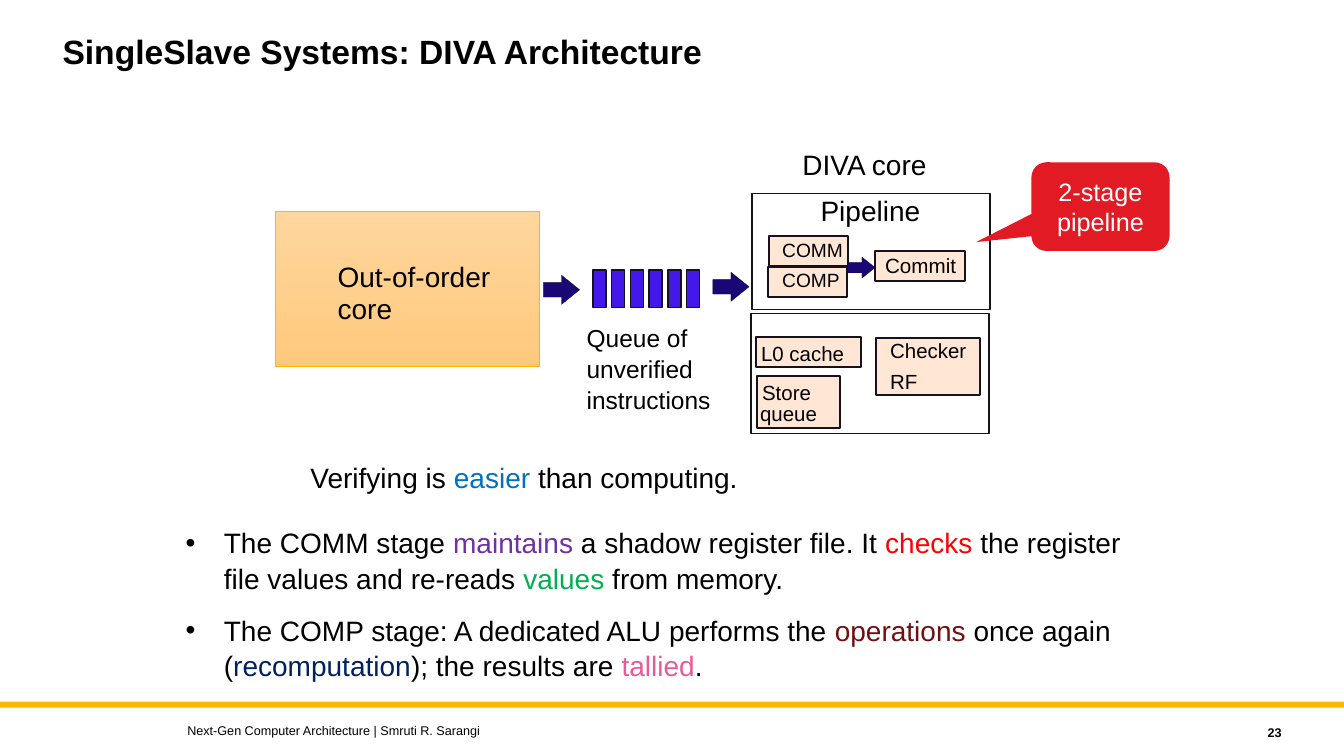
from dataclasses import dataclass

from pptx import Presentation
from pptx.dml.color import RGBColor
from pptx.enum.shapes import MSO_SHAPE
from pptx.enum.text import MSO_ANCHOR, MSO_AUTO_SIZE, PP_ALIGN
from pptx.util import Inches, Pt

RECTANGLE, RIGHT_ARROW = MSO_SHAPE.RECTANGLE, MSO_SHAPE.RIGHT_ARROW
CALLOUT = MSO_SHAPE.ROUNDED_RECTANGULAR_CALLOUT
TOP, MIDDLE = MSO_ANCHOR.TOP, MSO_ANCHOR.MIDDLE
LEFT, CENTER, RIGHT = PP_ALIGN.LEFT, PP_ALIGN.CENTER, PP_ALIGN.RIGHT
FIXED, GROW = MSO_AUTO_SIZE.NONE, MSO_AUTO_SIZE.SHAPE_TO_FIT_TEXT

BLACK, WHITE, AMBER, RED = "000000", "FFFFFF", "FFB600", "E21A23"
INK, PEACH, VIOLET, NAVY = "15111D", "FFE6D5", "4318EA", "1B0675"


@dataclass
class Block:
    left: float
    top: float
    width: float
    height: float
    fill: str = ""
    line: str = INK
    weight: float = 1.0
    kind: int = RECTANGLE


@dataclass
class Label:
    text: str
    left: float
    top: float
    width: float
    height: float
    size: float


@dataclass
class Span:
    text: str
    color: str = BLACK


def arrow(left: float, top: float, width: float, height: float) -> Block:
    return Block(left, top, width, height, NAVY, "07070A", 0.1, RIGHT_ARROW)


def stage(left: float, top: float, width: float, height: float) -> Block:
    return Block(left, top, width, height, PEACH, INK, 1.5)


SLOT_LEFT, SLOT_PITCH, SLOT_COUNT = 5.88, 0.186, 6
CORE = Block(2.73, 2.1, 2.62, 1.54, AMBER, AMBER, 0.5)
BLOCKS = [
    Block(0, 6.96, 13.33, 0.06, AMBER, ""),
    arrow(5.39, 2.73, 0.36, 0.29),
    *(Block(SLOT_LEFT + slot * SLOT_PITCH, 2.68, 0.13, 0.37, VIOLET)
      for slot in range(SLOT_COUNT)),
    arrow(7.07, 2.7, 0.36, 0.29),
    Block(7.46, 1.92, 2.36, 1.15),
    stage(7.63, 2.34, 0.78, 0.3),
    stage(7.62, 2.65, 0.78, 0.3),
    stage(8.68, 2.49, 0.89, 0.3),
    stage(7.5, 3.34, 1.04, 0.3),
    stage(8.69, 3.35, 1.03, 0.57),
    stage(7.51, 3.73, 0.82, 0.52),
    arrow(8.41, 2.55, 0.27, 0.21),
    Block(7.45, 3.11, 2.36, 1.19),
]
LABELS = [
    Label("Out-of-order", 3.25, 2.53, 1.73, 0.44, 20),
    Label("core", 3.25, 2.84, 0.75, 0.44, 20),
    Label("Queue of", 5.72, 3.16, 1.21, 0.4, 17.5),
    Label("unverified", 5.72, 3.46, 1.27, 0.4, 17.5),
    Label("instructions", 5.72, 3.77, 1.44, 0.4, 17.5),
    Label("DIVA core", 7.86, 1.41, 1.44, 0.44, 20),
    Label("Pipeline", 8.04, 1.87, 1.2, 0.44, 20),
    Label("COMM", 7.66, 2.32, 0.81, 0.33, 13.7),
    Label("COMP", 7.66, 2.61, 0.78, 0.33, 13.7),
    Label("Commit", 8.68, 2.46, 0.91, 0.35, 14.7),
    Label("L0 cache", 7.45, 3.33, 1.03, 0.35, 14.6),
    Label("Checker", 8.73, 3.3, 0.96, 0.35, 14.6),
    Label("RF", 8.73, 3.61, 0.47, 0.35, 14.6),
    Label("Store", 7.46, 3.72, 0.75, 0.35, 14.6),
    Label("queue", 7.44, 3.93, 0.77, 0.35, 14.6),
]
SLOGAN = [Span("Verifying is "), Span("easier", "0070C0"), Span(" than computing.")]
BULLETS = [
    [Span("The COMM stage "), Span("maintains", "7030A0"),
     Span(" a shadow register file. It "), Span("checks", "FF0000"),
     Span(" the register file values and re-reads "), Span("values", "00B050"),
     Span(" from memory.")],
    [Span("The COMP stage: A dedicated ALU performs the "),
     Span("operations", "720F11"), Span(" once again ("),
     Span("recomputation", "002060"), Span("); the results are "),
     Span("tallied", "E85B97"), Span(".")],
]


def rgb(code: str) -> RGBColor:
    return RGBColor.from_string(code)


def assign(target, **values) -> None:
    """Set every named attribute on the target."""
    for name, value in values.items():
        setattr(target, name, value)


def place(shape, left: float, top: float, width: float, height: float) -> None:
    assign(shape, left=Inches(left), top=Inches(top),
           width=Inches(width), height=Inches(height))


def write(para, spans: list[Span], size: float, bold: bool = False) -> None:
    for span in spans:
        run = para.add_run()
        run.text = span.text
        assign(run.font, name="Arial", size=Pt(size), bold=bold)
        run.font.color.rgb = rgb(span.color)


def add_block(page, block: Block):
    shape = page.shapes.add_shape(
        block.kind, Inches(block.left), Inches(block.top),
        Inches(block.width), Inches(block.height))
    shape.shadow.inherit = False
    if block.fill:
        shape.fill.solid()
        shape.fill.fore_color.rgb = rgb(block.fill)
    else:
        shape.fill.background()
    if block.line:
        shape.line.color.rgb = rgb(block.line)
        shape.line.width = Pt(block.weight)
    else:
        shape.line.fill.background()
    if block.kind == RIGHT_ARROW:
        shape.adjustments[0], shape.adjustments[1] = 0.5, 0.62
    return shape


def add_label(page, label: Label, spans: list[Span]) -> None:
    box = page.shapes.add_textbox(0, 0, 0, 0)
    assign(box.text_frame, word_wrap=False, auto_size=GROW)
    write(box.text_frame.paragraphs[0], spans, label.size)
    place(box, label.left, label.top, label.width, label.height)


def add_footer(page, label: Label, align: int, bold: bool) -> None:
    box = page.shapes.add_textbox(0, 0, 0, 0)
    place(box, label.left, label.top, label.width, label.height)
    assign(box.text_frame, word_wrap=True, vertical_anchor=MIDDLE)
    para = box.text_frame.paragraphs[0]
    para.alignment = align
    write(para, [Span(label.text)], label.size, bold)


def add_core(page) -> None:
    core = add_block(page, CORE)
    core.fill.gradient()
    core.fill.gradient_angle = 270
    for stop, color in zip(core.fill.gradient_stops, ("FFD69E", "FFC97C")):
        stop.color.rgb = rgb(color)


def add_callout(page) -> None:
    callout = add_block(page, Block(10.23, 1.61, 1.37, 0.88, RED, "", kind=CALLOUT))
    for index, value in enumerate((-0.9, 0.4, 0.17)):
        callout.adjustments[index] = value
    assign(callout.text_frame, word_wrap=True, vertical_anchor=MIDDLE)
    para = callout.text_frame.paragraphs[0]
    para.alignment = CENTER
    write(para, [Span("2-stage pipeline", WHITE)], 18)


def fill_title(title) -> None:
    place(title, 0.52, 0.3, 10, 0.9)
    assign(title.text_frame, auto_size=FIXED, vertical_anchor=TOP)
    para = title.text_frame.paragraphs[0]
    assign(para, alignment=LEFT, line_spacing=0.9)
    write(para, [Span("SingleSlave Systems: DIVA Architecture")], 24, True)


def fill_body(body) -> None:
    place(body, 1.74, 5.15, 9.86, 1.94)
    frame = body.text_frame
    assign(frame, auto_size=FIXED, vertical_anchor=TOP)
    for index, spans in enumerate(BULLETS):
        para = frame.add_paragraph() if index else frame.paragraphs[0]
        properties = para._p.get_or_add_pPr()
        properties.set("marL", str(Inches(0.38)))
        properties.set("indent", str(Inches(-0.38)))
        assign(para, space_before=Pt(12 if index else 0), line_spacing=1.05)
        write(para, spans, 20)


def main() -> None:
    deck = Presentation()
    assign(deck, slide_width=Inches(13.33), slide_height=Inches(7.5))
    page = deck.slides.add_slide(deck.slide_layouts[1])
    fill_title(page.shapes.title)
    fill_body(page.placeholders[1])
    add_core(page)
    for block in BLOCKS:
        add_block(page, block)
    for label in LABELS:
        add_label(page, label, [Span(label.text)])
    add_label(page, Label("", 2.98, 4.52, 4.55, 0.44, 20), SLOGAN)
    credit = "Next-Gen Computer Architecture | Smruti R. Sarangi"
    add_footer(page, Label(credit, 1.76, 7.12, 8, 0.25, 9), LEFT, False)
    add_footer(page, Label("23", 11.41, 7.14, 1.4, 0.25, 9), RIGHT, True)
    add_callout(page)
    deck.save("out.pptx")


if __name__ == "__main__":
    main()
